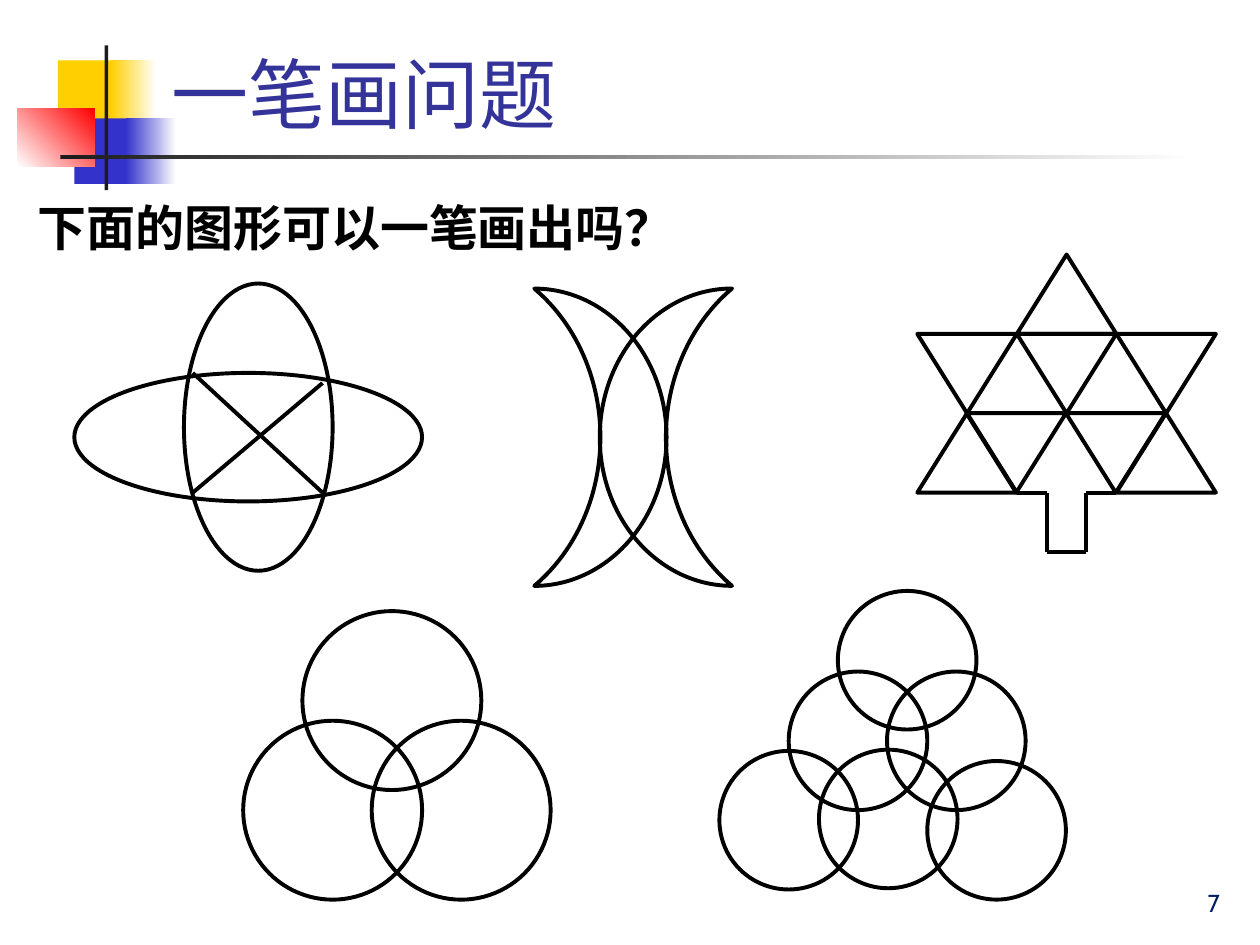
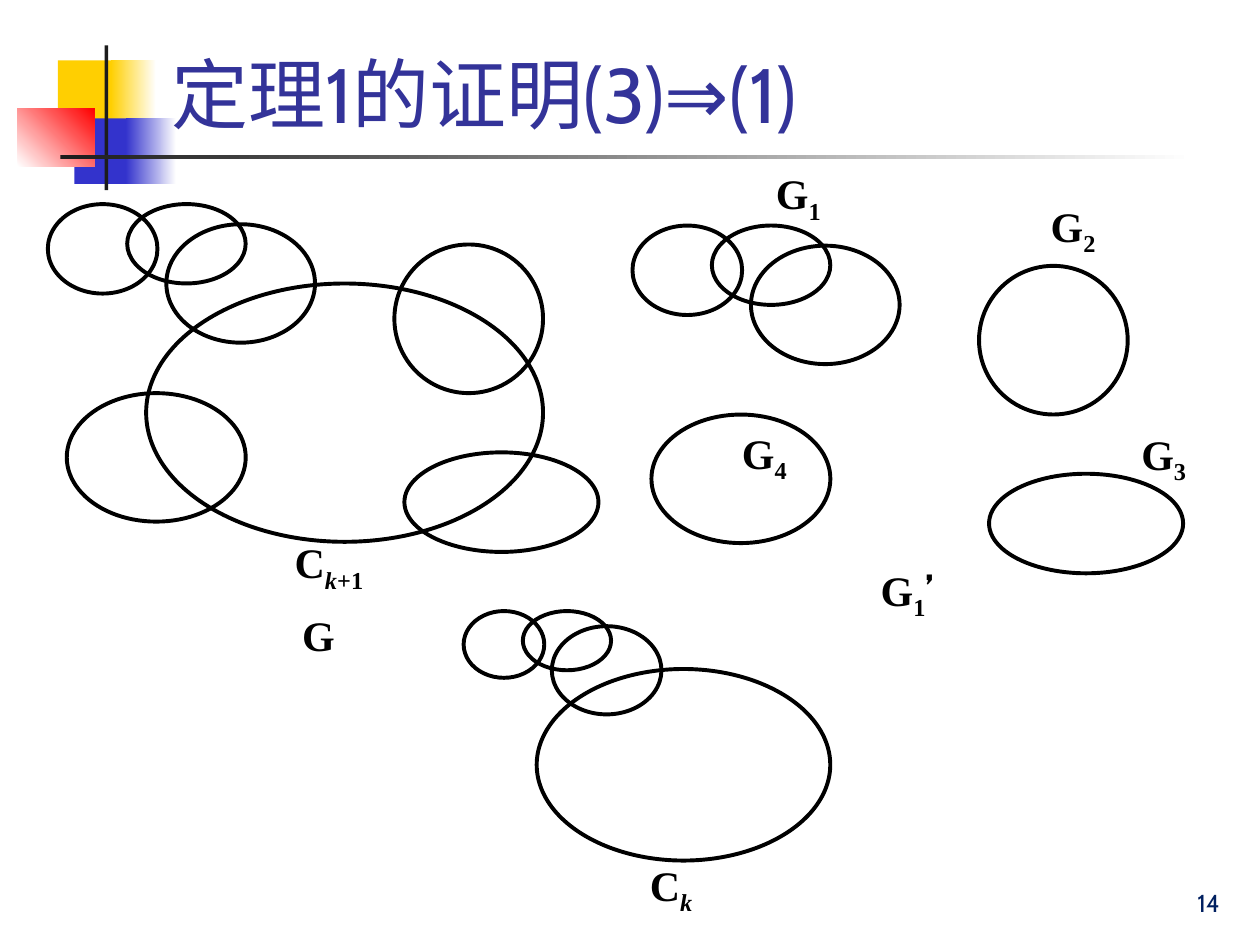
from dataclasses import dataclass
from itertools import pairwise
from typing import Any, NamedTuple

from lxml.etree import SubElement
from pptx import Presentation
from pptx.dml.color import RGBColor
from pptx.enum.shapes import MSO_CONNECTOR, MSO_SHAPE as SHAPE
from pptx.enum.text import MSO_ANCHOR as ANCHOR, PP_ALIGN as ALIGN
from pptx.oxml.ns import qn
from pptx.util import Pt

PX = 9144  # EMU in one px, 100 px to the inch
PEN = Pt(2.25)
SUBSCRIPT = "-25000"
COLORS = {
    "paper": "FFFFFF",
    "ink": "000000",
    "gold": "FFCF01",
    "blue": "3333CC",
    "red": "FF0000",
    "rule": "1C1C1C",
    "title": "333399",
    "number": "002060",
}
FORMATS: dict[str, dict[str, Any]] = {
    "title": {"name": "Cabin", "size": Pt(44)},
    "question": {"name": "Times New Roman", "size": Pt(28), "bold": True},
    "label": {"name": "Times New Roman", "size": Pt(24), "bold": True},
    "mark": {"name": "Cabin", "size": Pt(24), "bold": True},
    "number": {"name": "Cabin", "size": Pt(14)},
}


class Box(NamedTuple):
    left: int
    top: int
    width: int
    height: int


class Point(NamedTuple):
    x: int
    y: int


@dataclass(frozen=True)
class Band:
    box: Box
    start: str
    end: str = ""
    angle: int = 0


@dataclass(frozen=True)
class Label:
    left: int
    top: int
    width: int
    letter: str
    italic: str = ""
    index: str = ""
    mark: str = ""


class Triangle(NamedTuple):
    column: int
    row: int
    points_up: bool


BANDS = [
    Band(Box(46, 48, 48, 52), "gold"),
    Band(Box(88, 48, 36, 52), "gold", "paper"),
    Band(Box(59, 94, 46, 52), "blue"),
    Band(Box(100, 94, 40, 52), "blue", "paper"),
    Band(Box(14, 86, 61, 46), "paper", "red", 45),
    Band(Box(83, 36, 3, 115), "rule"),
    Band(Box(48, 123, 900, 3), "rule", "paper"),
]
TITLE_BOX = Box(126, 8, 852, 107)
QUESTION_BOX = Box(20, 147, 929, 79)
NUMBER_BOX = Box(770, 683, 208, 50)
LABEL_HEIGHT = 51

CROSSED_OVALS = [Box(59, 296, 276, 102), Box(146, 225, 118, 228)]
CROSS = [(Point(153, 296), Point(256, 391)), (Point(153, 391), Point(256, 304))]
MOONS = [(Box(424, 229, 105, 236), 180), (Box(476, 229, 105, 236), 0)]
TREE = Box(728, 202, 79, 63)  # corner of the lattice and size of a triangle
TREE_TRIANGLES = [
    Triangle(2, 0, True),
    *(Triangle(column, 1, False) for column in (0, 2, 4)),
    *(Triangle(column, 2, False) for column in (1, 3)),
    *(Triangle(column, 2, True) for column in (0, 4)),
]
TREE_MIDDLE = [Point(768, 328), Point(925, 328)]
TREE_TRUNK = [
    Point(807, 391), Point(831, 391), Point(831, 438),
    Point(862, 438), Point(862, 391), Point(886, 391),
]
THREE_CIRCLES = [
    Box(left, top, 142, 142) for left, top in [(193, 572), (295, 572), (240, 485)]
]
SIX_CIRCLES = [
    Box(left, top, 110, 110)
    for left, top in [
        (665, 469), (626, 533), (704, 533), (571, 596), (650, 595), (736, 604)
    ]
]

CHAIN = [Box(132, 178, 118, 94), Box(101, 162, 94, 63), Box(38, 162, 87, 71)]
RING = Box(116, 225, 315, 205)
SEPARATE_CYCLES = [
    Box(53, 312, 142, 102), Box(313, 194, 118, 118), Box(321, 359, 154, 79)
]
PART_LABELS = [
    Label(689, 443, 69, "G", index="1", mark="’"),
    Label(824, 154, 58, "G", index="2"),
    Label(896, 335, 57, "G", index="3"),
    Label(579, 334, 57, "G", index="4"),
    Label(606, 128, 57, "G", index="1"),
]
WHOLE_LABELS = [
    Label(224, 421, 81, "C", italic="k", index="+1"),
    Label(230, 479, 46, "G"),
]
SMALLER_LABELS = [Label(506, 677, 60, "C", italic="k")]


def color(name: str) -> RGBColor:
    return RGBColor.from_string(COLORS[name])


def scaled(values: Any) -> list[int]:
    return [value * PX for value in values]


def placed(boxes: list[Box], dx: int, dy: int, ratio: float = 1) -> list[Box]:
    """Resize boxes about the slide corner, then shift them."""
    return [
        Box(
            round(box.left * ratio) + dx,
            round(box.top * ratio) + dy,
            round(box.width * ratio),
            round(box.height * ratio),
        )
        for box in boxes
    ]


def add_run(paragraph: Any, text: str, style: str, color_name: str) -> Any:
    run = paragraph.add_run()
    run.text = text
    for name, value in FORMATS[style].items():
        setattr(run.font, name, value)
    run.font.color.rgb = color(color_name)
    return run


def add_text_box(shapes: Any, box: Box, anchor: Any = ANCHOR.TOP, wrap: bool = True) -> Any:
    """Add an empty text box and return its first paragraph."""
    frame = shapes.add_textbox(*scaled(box)).text_frame
    frame.word_wrap = wrap
    frame.vertical_anchor = anchor
    return frame.paragraphs[0]


def add_text_shadow(run: Any) -> None:
    effects = SubElement(run.font.fill._xPr, qn("a:effectLst"))
    shadow = SubElement(
        effects, qn("a:outerShdw"), blurRad="38100", dist="38100", dir="2700000", algn="tl"
    )
    SubElement(shadow, qn("a:srgbClr"), val="C0C0C0")
    run.font.fill._xPr.find(qn("a:solidFill")).addnext(effects)


def add_band(shapes: Any, band: Band) -> None:
    shape = shapes.add_shape(SHAPE.RECTANGLE, *scaled(band.box))
    shape.shadow.inherit = False
    shape.line.fill.background()
    if not band.end:
        shape.fill.solid()
        shape.fill.fore_color.rgb = color(band.start)
        return
    shape.fill.gradient()
    shape.fill.gradient_angle = band.angle
    for stop, name in zip(shape.fill.gradient_stops, (band.start, band.end)):
        stop.color.rgb = color(name)


def add_outline(shapes: Any, kind: Any, box: Box, rotation: int = 0) -> None:
    shape = shapes.add_shape(kind, *scaled(box))
    shape.shadow.inherit = False
    shape.fill.background()
    shape.line.color.rgb = color("ink")
    shape.line.width = PEN
    shape.rotation = rotation


def add_ovals(shapes: Any, boxes: list[Box]) -> None:
    for box in boxes:
        add_outline(shapes, SHAPE.OVAL, box)


def add_line(shapes: Any, start: Point, end: Point) -> None:
    line = shapes.add_connector(MSO_CONNECTOR.STRAIGHT, *scaled((*start, *end)))
    line.line.color.rgb = color("ink")
    line.line.width = PEN
    SubElement(line._element.spPr, qn("a:effectLst"))


def add_label(shapes: Any, label: Label) -> None:
    box = Box(label.left, label.top, label.width, LABEL_HEIGHT)
    paragraph = add_text_box(shapes, box, wrap=False)
    add_run(paragraph, label.letter, "label", "ink")
    for text, italic in ((label.italic, True), (label.index, False)):
        if text:
            run = add_run(paragraph, text, "label", "ink")
            run.font.italic = italic
            run.font.fill._xPr.set("baseline", SUBSCRIPT)
    if label.mark:
        add_run(paragraph, label.mark, "mark", "ink")


def add_graph(slide: Any, ovals: list[Box], labels: list[Label]) -> None:
    shapes = slide.shapes.add_group_shape().shapes
    add_ovals(shapes, ovals)
    for label in labels:
        add_label(shapes, label)


def add_tree(slide: Any) -> None:
    shapes = slide.shapes.add_group_shape().shapes
    for column, row, points_up in TREE_TRIANGLES:
        left = TREE.left + column * TREE.width // 2
        top = TREE.top + row * TREE.height
        box = Box(left, top, TREE.width, TREE.height)
        add_outline(shapes, SHAPE.ISOSCELES_TRIANGLE, box, 0 if points_up else 180)
    for points in (TREE_MIDDLE, TREE_TRUNK):
        for start, end in pairwise(points):
            add_line(shapes, start, end)


def add_base_slide(presentation: Any, title: str, number: int) -> Any:
    slide = presentation.slides.add_slide(presentation.slide_layouts[6])
    slide.background.fill.solid()
    slide.background.fill.fore_color.rgb = color("paper")
    for band in BANDS:
        add_band(slide.shapes, band)
    paragraph = add_text_box(slide.shapes, TITLE_BOX, ANCHOR.BOTTOM)
    add_text_shadow(add_run(paragraph, title, "title", "title"))
    paragraph = add_text_box(slide.shapes, NUMBER_BOX, ANCHOR.BOTTOM)
    paragraph.alignment = ALIGN.RIGHT
    add_run(paragraph, str(number), "number", "number")
    return slide


def build_one_stroke_slide(presentation: Any) -> None:
    slide = add_base_slide(presentation, "一笔画问题", 7)
    paragraph = add_text_box(slide.shapes, QUESTION_BOX)
    paragraph.line_spacing = 1.1
    add_run(paragraph, "下面的图形可以一笔画出吗？", "question", "ink")

    crossed = slide.shapes.add_group_shape().shapes
    add_ovals(crossed, CROSSED_OVALS)
    for start, end in CROSS:
        add_line(crossed, start, end)
    moons = slide.shapes.add_group_shape().shapes
    for box, rotation in MOONS:
        add_outline(moons, SHAPE.MOON, box, rotation)
    add_tree(slide)
    for circles in (THREE_CIRCLES, SIX_CIRCLES):
        add_graph(slide, circles, [])


def build_proof_slide(presentation: Any) -> None:
    slide = add_base_slide(presentation, "定理1的证明(3)⇒(1)", 14)
    add_graph(slide, placed(CHAIN + SEPARATE_CYCLES, 464, 17), PART_LABELS)
    add_graph(slide, [*CHAIN, RING, *SEPARATE_CYCLES], WHOLE_LABELS)
    add_graph(slide, placed([*CHAIN, RING], 340, 365, 0.74), SMALLER_LABELS)


def main() -> None:
    presentation = Presentation()
    presentation.slide_width, presentation.slide_height = scaled((1000, 750))
    build_one_stroke_slide(presentation)
    build_proof_slide(presentation)
    presentation.save("out.pptx")


if __name__ == "__main__":
    main()
